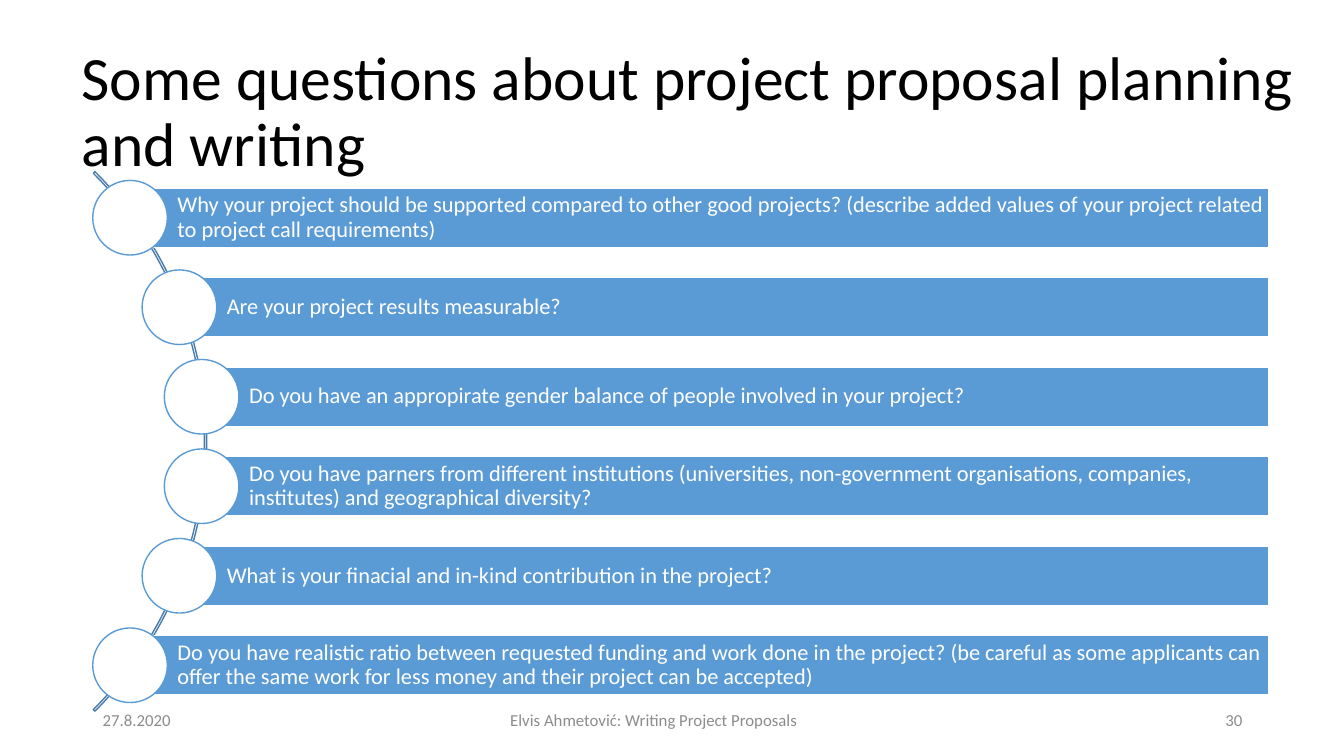
from pptx import Presentation
from pptx.dml.color import RGBColor
from pptx.enum.shapes import MSO_SHAPE as Shape
from pptx.enum.text import MSO_ANCHOR as Anchor, MSO_AUTO_SIZE as Fit, PP_ALIGN as Align
from pptx.util import Inches, Pt

WHITE = RGBColor(0xFF, 0xFF, 0xFF)
BLACK = RGBColor(0, 0, 0)
BLUE = RGBColor(0x5B, 0x9B, 0xD5)
STEEL = RGBColor(0x49, 0x7C, 0xAB)
GREY = RGBColor(0x8C, 0x8C, 0x8C)

TITLE = "Some questions about project proposal planning and writing"
ITEMS = [
    (0, "Why your project should be supported compared to other good projects? "
        "(describe added values of your project related to project call requirements)"),
    (0.49, "Are your project results measurable?"),
    (0.71, "Do you have an appropirate gender balance of people involved in your project?"),
    (0.71, "Do you have parners from different institutions (universities, "
           "non-government organisations, companies, institutes) and geographical diversity?"),
    (0.49, "What is your finacial and in-kind contribution in the project?"),
    (0, "Do you have realistic ratio between requested funding and work done in the project? "
        "(be careful as some applicants can offer the same work for less money "
        "and their project can be accepted)"),
]
FOOT = [
    (0, 1.23, "27.8.2020", Align.LEFT),
    (1.7, 7.73, "Elvis Ahmetović: Writing Project Proposals", Align.CENTER),
    (10.7, 0.8, "30", Align.RIGHT),
]


def put_text(shape, text, size, color, align=Align.LEFT, space=1.0, pad=None):
    frame = shape.text_frame
    frame.word_wrap = True
    frame.auto_size = Fit.NONE
    frame.vertical_anchor = Anchor.MIDDLE
    if pad:
        (frame.margin_left, frame.margin_top,
         frame.margin_right, frame.margin_bottom) = map(Inches, pad)
    para = frame.paragraphs[0]
    para.text = text
    para.alignment = align
    para.line_spacing = space
    font = para.font
    font.name, font.size = "Calibri", Pt(size)
    font.color.rgb = color


def add_form(slide, kind, box, fill, line):
    shape = slide.shapes.add_shape(kind, *map(Inches, box))
    shape.shadow.inherit = False
    if fill is None:
        shape.fill.background()
    else:
        shape.fill.solid()
        shape.fill.fore_color.rgb = fill
    shape.line.color.rgb = line
    shape.line.width = Pt(1)
    return shape


def add_title(slide, box):
    title = slide.shapes.title
    title.left, title.top, title.width, title.height = map(Inches, box)
    put_text(title, TITLE, 44, BLACK, space=0.9)


def add_list(slide, box):
    left, top, width, height = box
    size, bar = 0.74, 0.59
    step = (height - size) / (len(ITEMS) - 1)
    span = 7.57
    arc = add_form(slide, Shape.BLOCK_ARC,
                   (left - 6.44, top + (height - span) / 2, span, span), None, STEEL)
    for i, value in enumerate((189, 27, 0.003)):
        arc.adjustments[i] = value
    for i, (shift, text) in enumerate(ITEMS):
        x, y = left + shift, top + i * step
        start = x + size / 2
        row = add_form(slide, Shape.RECTANGLE,
                       (start, y + (size - bar) / 2, left + width - start, bar), BLUE, WHITE)
        put_text(row, text, 16, WHITE, space=0.9, pad=(0.47, 0.04, 0.04, 0.04))
        add_form(slide, Shape.OVAL, (x, y, size, size), WHITE, BLUE)


def add_foot(slide, box):
    left, top, height = box
    for shift, width, text, align in FOOT:
        area = slide.shapes.add_textbox(*map(Inches, (left + shift, top, width, height)))
        put_text(area, text, 12, GREY, align)


def main():
    deck = Presentation()
    deck.slide_width, deck.slide_height = Inches(13.33), Inches(7.5)
    slide = deck.slides.add_slide(deck.slide_layouts[5])
    add_foot(slide, (0.92, 6.94, 0.4))
    add_title(slide, (0.71, 0.4, 12.26, 1.45))
    add_list(slide, (0.92, 1.79, 11.66, 5.18))
    deck.save("out.pptx")


if __name__ == "__main__":
    main()
